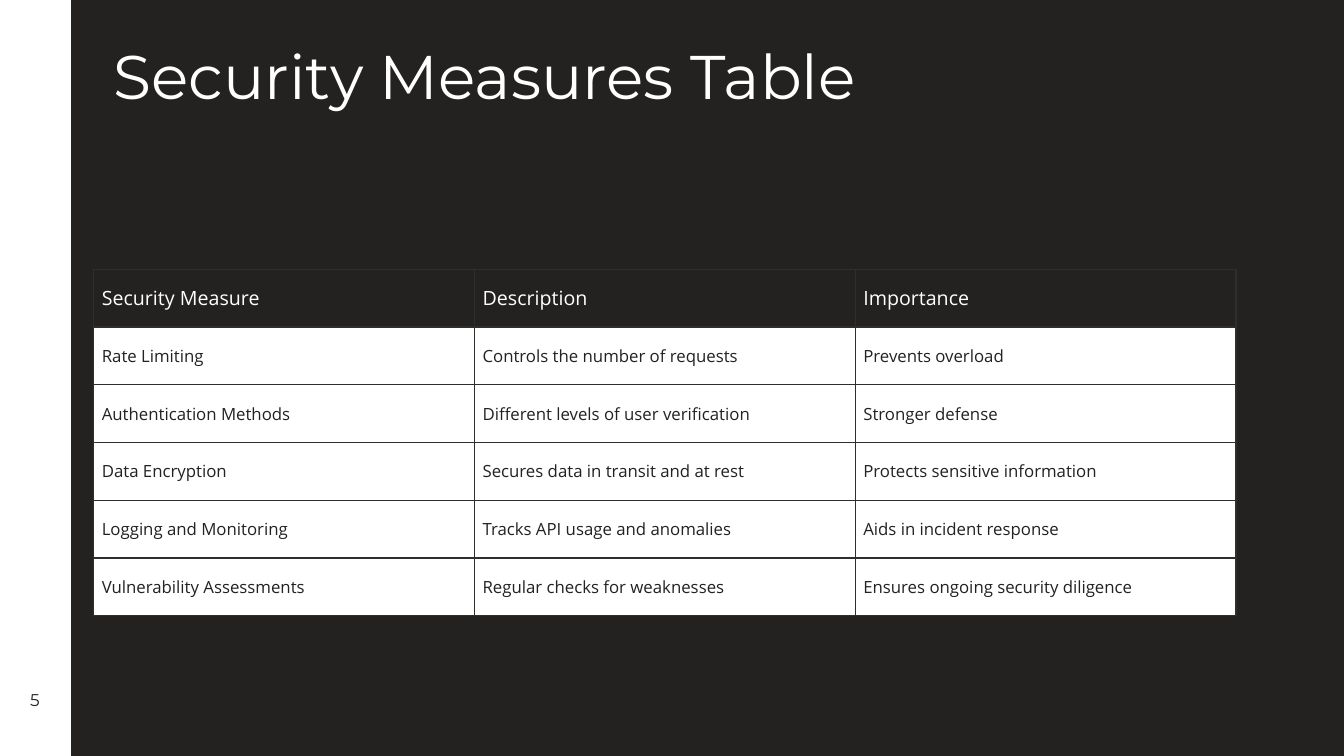
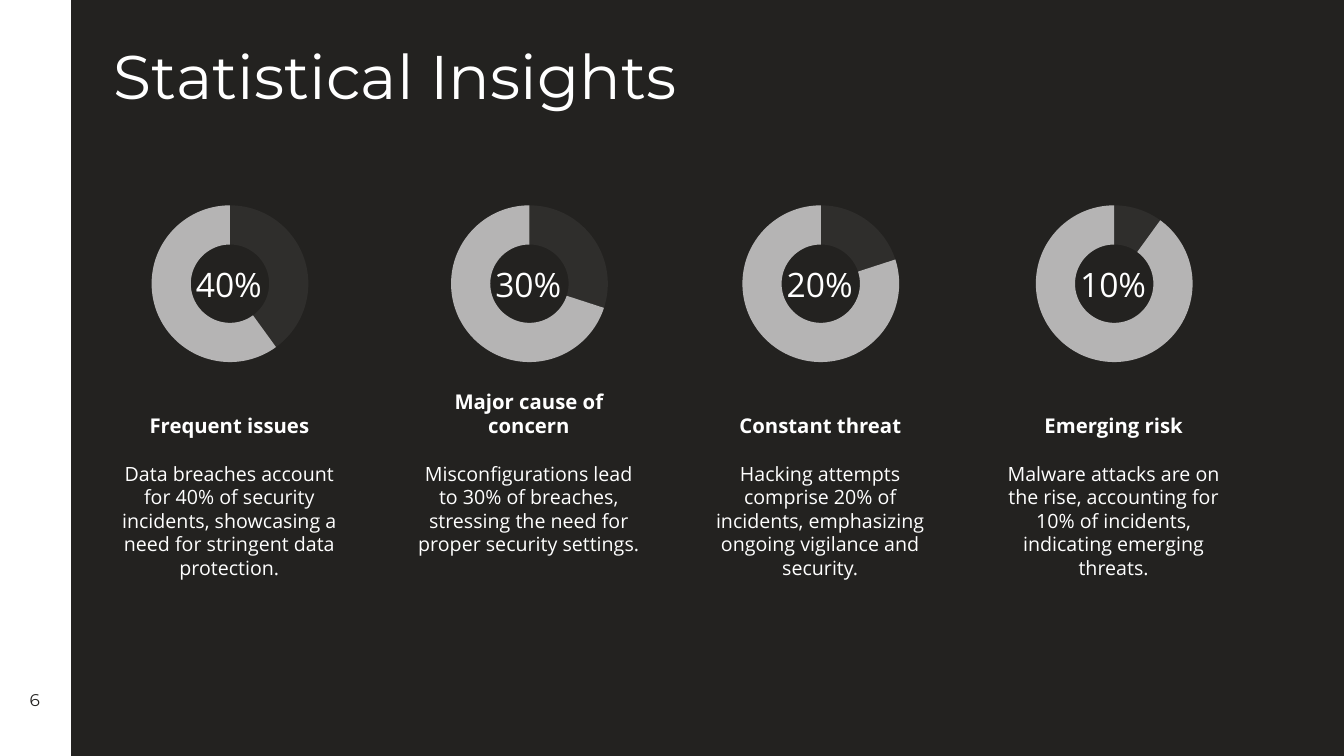
from dataclasses import dataclass

from lxml.etree import SubElement
from pptx import Presentation
from pptx.chart.data import CategoryChartData
from pptx.dml.color import RGBColor
from pptx.enum.chart import XL_CHART_TYPE
from pptx.enum.shapes import MSO_CONNECTOR, MSO_SHAPE
from pptx.enum.text import MSO_ANCHOR, MSO_AUTO_SIZE, PP_ALIGN
from pptx.oxml import parse_xml
from pptx.oxml.ns import nsdecls, qn
from pptx.util import Inches, Pt


@dataclass(frozen=True)
class Theme:
    dark: str = "232220"
    light: str = "FFFFFF"
    border: str = "2F2E2C"
    ring: str = "B5B4B4"
    ring_line: str = "F9F9F9"
    title_font: str = "Montserrat"
    body_font: str = "Open Sans"
    title_size: float = 44
    percent_size: float = 24
    heading_size: float = 14.5
    body_size: float = 14
    cell_size: float = 12
    number_size: float = 12.1
    chart_size: float = 10


THEME = Theme()
SLIDE_WIDTH, SLIDE_HEIGHT = 13.33, 7.5
BAND_WIDTH = 0.69

MEASURES = [
    ("Security Measure", "Description", "Importance"),
    ("Rate Limiting", "Controls the number of requests", "Prevents overload"),
    ("Authentication Methods", "Different levels of user verification", "Stronger defense"),
    ("Data Encryption", "Secures data in transit and at rest", "Protects sensitive information"),
    ("Logging and Monitoring", "Tracks API usage and anomalies", "Aids in incident response"),
    ("Vulnerability Assessments", "Regular checks for weaknesses", "Ensures ongoing security diligence"),
]

# left edge, share, heading, explanation
INSIGHTS = [
    (1.03, 40, "Frequent issues",
     "Data breaches account for 40% of security incidents, showcasing a need for stringent data protection."),
    (4.0, 30, "Major cause of concern",
     "Misconfigurations lead to 30% of breaches, stressing the need for proper security settings."),
    (6.89, 20, "Constant threat",
     "Hacking attempts comprise 20% of incidents, emphasizing ongoing vigilance and security."),
    (9.8, 10, "Emerging risk",
     "Malware attacks are on the rise, accounting for 10% of incidents, indicating emerging threats."),
]


def rgb(color):
    return RGBColor.from_string(color)


def paint(fill, color):
    fill.solid()
    fill.fore_color.rgb = rgb(color)


def write(frame, text, *, size, font=THEME.body_font, color=THEME.light,
          bold=False, align=PP_ALIGN.LEFT):
    paragraph = frame.paragraphs[0]
    paragraph.alignment = align
    run = paragraph.add_run()
    run.text = text
    run.font.name = font
    run.font.size = Pt(size)
    run.font.bold = bold
    run.font.color.rgb = rgb(color)


def add_text(slide, text, box, *, anchor=MSO_ANCHOR.TOP, grow=False, **style):
    frame = slide.shapes.add_textbox(*map(Inches, box)).text_frame
    frame.word_wrap = True
    frame.vertical_anchor = anchor
    frame.auto_size = MSO_AUTO_SIZE.SHAPE_TO_FIT_TEXT if grow else MSO_AUTO_SIZE.NONE
    write(frame, text, **style)


def add_base_slide(prs, title, number):
    """Add a slide with the dark background, side band, title and number."""
    slide = prs.slides.add_slide(prs.slide_layouts[6])
    paint(slide.background.fill, THEME.dark)

    band = slide.shapes.add_shape(
        MSO_SHAPE.RECTANGLE, 0, 0, Inches(BAND_WIDTH), Inches(SLIDE_HEIGHT))
    band.shadow.inherit = False
    paint(band.fill, THEME.light)
    band.line.fill.background()

    edge = slide.shapes.add_connector(
        MSO_CONNECTOR.STRAIGHT, Inches(BAND_WIDTH), 0, Inches(BAND_WIDTH), Inches(SLIDE_HEIGHT))
    edge.line.color.rgb = rgb(THEME.light)
    edge.line.width = Pt(1.5)
    SubElement(edge.element.find(qn("p:spPr")), qn("a:effectLst"))

    add_text(slide, title, (1.03, 0.33, 11.26, 0.93),
             size=THEME.title_size, font=THEME.title_font)
    add_text(slide, str(number), (0, 6.75, BAND_WIDTH, 0.39), anchor=MSO_ANCHOR.MIDDLE,
             size=THEME.number_size, font=THEME.title_font, color=THEME.dark,
             align=PP_ALIGN.CENTER)
    return slide


def style_cell(cell, text, is_header):
    cell.vertical_anchor = MSO_ANCHOR.MIDDLE
    cell.margin_left = cell.margin_right = Inches(0.08)
    cell.margin_top = cell.margin_bottom = Inches(0.08)
    write(cell.text_frame, text,
          size=THEME.body_size if is_header else THEME.cell_size,
          color=THEME.light if is_header else THEME.dark)
    properties = cell._tc.get_or_add_tcPr()
    for side in ("lnL", "lnR", "lnT", "lnB"):
        border = SubElement(properties, qn(f"a:{side}"), w=str(Pt(1)))
        color_fill = SubElement(border, qn("a:solidFill"))
        SubElement(color_fill, qn("a:srgbClr"), val=THEME.border)
    paint(cell.fill, THEME.dark if is_header else THEME.light)


def add_measures_table(slide, rows, box):
    table = slide.shapes.add_table(len(rows), len(rows[0]), *map(Inches, box)).table
    table.horz_banding = False
    for row_index, row in enumerate(rows):
        for column_index, text in enumerate(row):
            style_cell(table.cell(row_index, column_index), text, row_index == 0)


def set_ring_layout(chart, box_width, box_height, ratio=0.85):
    """Centre a square plot area in the chart and set the hole size."""
    width, height = ratio * box_height / box_width, ratio
    values = {"x": (1 - width) / 2, "y": (1 - height) / 2, "w": width, "h": height}
    sizes = "".join(f'<c:{key} val="{value:.3f}"/>' for key, value in values.items())
    layout = parse_xml(
        f'<c:layout {nsdecls("c")}><c:manualLayout><c:layoutTarget val="inner"/>'
        f'<c:xMode val="edge"/><c:yMode val="edge"/>{sizes}</c:manualLayout></c:layout>')
    plot_area = chart.element.find(".//" + qn("c:plotArea"))
    for previous in plot_area.findall(qn("c:layout")):
        plot_area.remove(previous)
    plot_area.insert(0, layout)
    plot_area.find(".//" + qn("c:holeSize")).set("val", "90")


def add_share_ring(slide, share, box):
    data = CategoryChartData()
    data.categories = ["1", "2"]
    data.add_series("Series 1", (share, 100 - share))
    chart = slide.shapes.add_chart(XL_CHART_TYPE.DOUGHNUT, *map(Inches, box), data).chart
    chart.has_legend = False
    chart.has_title = False
    chart.font.name = THEME.body_font
    chart.font.size = Pt(THEME.chart_size)
    chart.font.color.rgb = rgb(THEME.light)

    plot = chart.plots[0]
    plot.vary_by_categories = True
    series = plot.series[0]
    series.format.line.color.rgb = rgb(THEME.ring_line)
    series.format.line.width = Pt(0.75)
    for index, color in enumerate((THEME.border, THEME.ring)):
        segment = series.points[index].format
        paint(segment.fill, color)
        segment.line.fill.background()
    set_ring_layout(chart, box[2], box[3])


def add_insight(slide, left, top, share, heading, explanation):
    """Place one column: ring, percentage, heading and explanation."""
    width = 2.49
    centered = {"align": PP_ALIGN.CENTER, "grow": True}
    add_share_ring(slide, share, (left + 0.14, top, 2.22, 1.83))
    add_text(slide, f"{share}%", (left + 0.74, top + 0.67, 1, 0.5),
             anchor=MSO_ANCHOR.MIDDLE, size=THEME.percent_size, **centered)
    add_text(slide, heading, (left, top + 1.98, width, 0.51),
             anchor=MSO_ANCHOR.BOTTOM, size=THEME.heading_size, bold=True, **centered)
    add_text(slide, explanation, (left, top + 2.63, width, 2.61),
             size=THEME.body_size, **centered)


def build_measures_slide(prs):
    slide = add_base_slide(prs, "Security Measures Table", 5)
    add_measures_table(slide, MEASURES, (0.93, 2.67, 11.33, 3.44))


def build_insights_slide(prs):
    slide = add_base_slide(prs, "Statistical Insights", 6)
    for left, share, heading, explanation in INSIGHTS:
        add_insight(slide, left, 1.9, share, heading, explanation)


def main():
    prs = Presentation()
    prs.slide_width = Inches(SLIDE_WIDTH)
    prs.slide_height = Inches(SLIDE_HEIGHT)
    build_measures_slide(prs)
    build_insights_slide(prs)
    prs.save("out.pptx")


if __name__ == "__main__":
    main()
